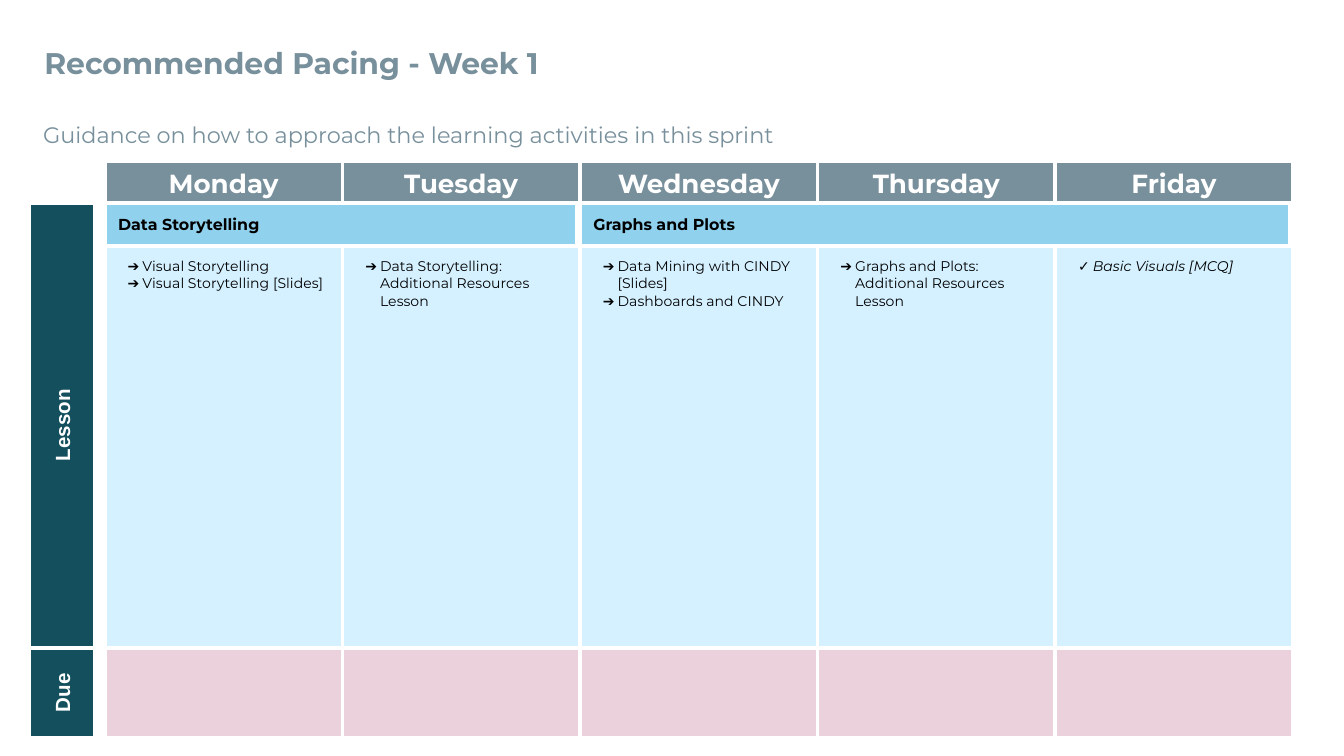
from lxml import etree
from pptx import Presentation
from pptx.dml.color import RGBColor
from pptx.enum.shapes import MSO_SHAPE
from pptx.enum.text import MSO_ANCHOR as ANCHOR, PP_ALIGN as ALIGN
from pptx.oxml.ns import qn
from pptx.util import Inches, Pt

LEFT, TOP, COL_W = 0.78, 1.2, 8.84 / 5
ROWS = [0.31, 3.31, 0.67]
FONT = "Montserrat"
SLATE, TEAL, SKY, ICE, PINK = "78909C", "134F5C", "90D1ED", "D5F1FF", "EAD1DC"
WHITE, BLACK = "FFFFFF", "000000"
DAYS = {
    "Monday": ("➔", ["Visual Storytelling", "Visual Storytelling [Slides]"]),
    "Tuesday": ("➔", ["Data Storytelling: Additional Resources Lesson"]),
    "Wednesday": ("➔", ["Data Mining with CINDY [Slides]", "Dashboards and CINDY"]),
    "Thursday": ("➔", ["Graphs and Plots: Additional Resources Lesson"]),
    "Friday": ("✓", ["Basic Visuals [MCQ]"]),
}


def rgb(value):
    """Turn a hex string into a colour."""
    return RGBColor.from_string(value)


def row_top(row):
    """Return the top of a table row in inches."""
    return TOP + sum(ROWS[:row])


def style(p, size, color, bold=False, italic=False, name=FONT):
    """Set the font of a whole paragraph."""
    f = p.font
    f.size, f.bold, f.italic, f.name = Pt(size), bold, italic, name
    f.color.rgb = rgb(color)


def set_margins(box, side, top, bottom):
    """Set the inner margins of a cell or text frame in inches."""
    box.margin_left = box.margin_right = Inches(side)
    box.margin_top, box.margin_bottom = Inches(top), Inches(bottom)


def add_text(s, text, top, height, size, bold=False, spacing=1.0, anchor=ANCHOR.TOP):
    """Add a heading line across the slide."""
    tf = s.shapes.add_textbox(Inches(0.25), Inches(top), Inches(9.49), Inches(height)).text_frame
    tf.word_wrap, tf.vertical_anchor = True, anchor
    set_margins(tf, 0.08 if bold else 0.07, 0.04, 0.04)
    p = tf.paragraphs[0]
    p.text, p.line_spacing = text, spacing
    style(p, size, SLATE, bold)


def add_block(s, text, box, fill, size, color, align=ALIGN.LEFT, name=FONT):
    """Add a white-edged rectangle with bold text."""
    sp = s.shapes.add_shape(MSO_SHAPE.RECTANGLE, *map(Inches, box))
    sp.shadow.inherit = False
    sp.fill.solid()
    sp.fill.fore_color.rgb = rgb(fill)
    sp.line.color.rgb, sp.line.width = rgb(WHITE), Pt(2.25)
    tf = sp.text_frame
    tf.vertical_anchor = ANCHOR.MIDDLE
    set_margins(tf, 0.1, 0.1, 0.1)
    p = tf.paragraphs[0]
    p.text, p.alignment = text, align
    style(p, size, color, True, name=name)
    return sp


def add_row_label(s, text, row):
    """Add a label turned upwards beside a table row."""
    length, depth = ROWS[row], 0.49
    box = (0.46 - length / 2, row_top(row) + (length - depth) / 2, length, depth)
    add_block(s, text, box, TEAL, 11, WHITE, ALIGN.CENTER, "Arial").rotation = 270


def add_topic(s, text, col, span):
    """Add a topic bar over a span of day columns."""
    box = (LEFT + col * COL_W, row_top(1), span * COL_W - 0.02, 0.32)
    add_block(s, text, box, SKY, 8.5, BLACK)


def paint_cell(cell, fill):
    """Fill a cell and give it white borders."""
    cell.fill.solid()
    cell.fill.fore_color.rgb = rgb(fill)
    pr = cell._tc.get_or_add_tcPr()
    for i, side in enumerate(("lnL", "lnR", "lnT", "lnB")):
        ln = etree.Element(qn(f"a:{side}"), w=str(Pt(2.25)))
        solid = etree.SubElement(ln, qn("a:solidFill"))
        etree.SubElement(solid, qn("a:srgbClr"), val=WHITE)
        pr.insert(i, ln)


def add_bullet(p, char):
    """Give a paragraph a hanging bullet."""
    pr = p._p.get_or_add_pPr()
    pr.set("marL", str(Inches(0.25)))
    pr.set("indent", str(Inches(-0.11)))
    color = etree.SubElement(pr, qn("a:buClr"))
    etree.SubElement(color, qn("a:srgbClr"), val=BLACK)
    etree.SubElement(pr, qn("a:buFont"), typeface=FONT)
    etree.SubElement(pr, qn("a:buChar"), char=char)


def fill_day(cell, day):
    """Write a day heading."""
    paint_cell(cell, SLATE)
    set_margins(cell, 0.03, 0.02, 0.02)
    cell.vertical_anchor = ANCHOR.MIDDLE
    p = cell.text_frame.paragraphs[0]
    p.text, p.alignment, p.line_spacing = day, ALIGN.CENTER, 1.15
    style(p, 14, WHITE, True)


def fill_lessons(cell, char, items):
    """List the lessons of a day below the topic bar."""
    paint_cell(cell, ICE)
    set_margins(cell, 0.03, 0.41, 0.02)
    tf = cell.text_frame
    for i, item in enumerate(items):
        p = tf.add_paragraph() if i else tf.paragraphs[0]
        p.text = item
        add_bullet(p, char)
        style(p, 7.5, BLACK, italic=char == "✓")


def add_schedule(s):
    """Add the week table."""
    size = (LEFT, TOP, COL_W * len(DAYS), sum(ROWS))
    table = s.shapes.add_table(len(ROWS), len(DAYS), *map(Inches, size)).table
    for row, height in zip(table.rows, ROWS):
        row.height = Inches(height)
    for c, (day, (char, items)) in enumerate(DAYS.items()):
        table.columns[c].width = Inches(COL_W)
        fill_day(table.cell(0, c), day)
        fill_lessons(table.cell(1, c), char, items)
        paint_cell(table.cell(2, c), PINK)


def main():
    """Build the pacing slide."""
    prs = Presentation()
    prs.slide_width, prs.slide_height = Inches(10), Inches(10 * 9 / 16)
    s = prs.slides.add_slide(prs.slide_layouts[6])
    add_text(s, "Recommended Pacing - Week 1", 0.13, 0.67, 16, True, anchor=ANCHOR.MIDDLE)
    add_text(s, "Guidance on how to approach the learning activities in this sprint",
             0.8, 0.39, 12, spacing=1.3)
    add_schedule(s)
    add_row_label(s, "Lesson", 1)
    add_row_label(s, "Due", 2)
    add_topic(s, "Data Storytelling", 0, 2)
    add_topic(s, "Graphs and Plots", 2, 3)
    prs.save("out.pptx")


if __name__ == "__main__":
    main()
